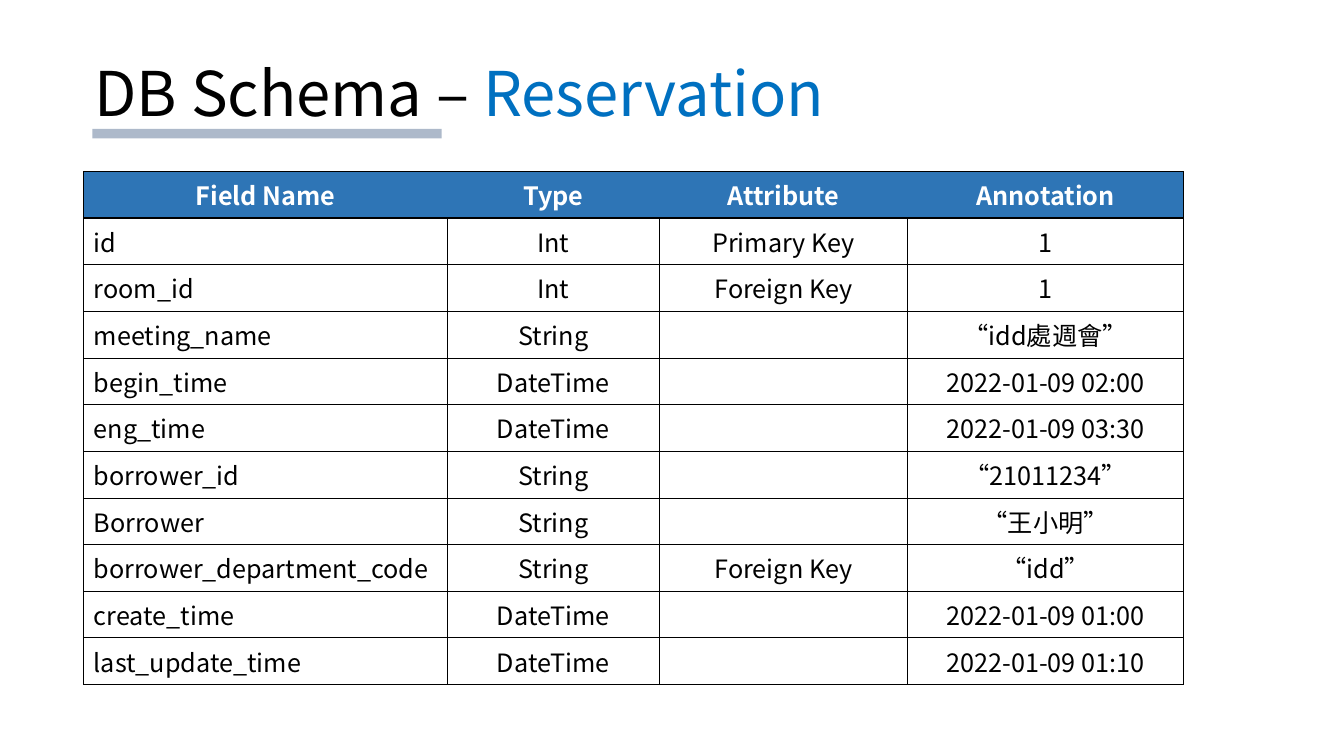
import pptx
import pptx.dml.color
import pptx.enum.shapes
import pptx.enum.text
import pptx.oxml
import pptx.oxml.ns
import pptx.util
from lxml import etree
from pptx.util import Cm

FONT = "Noto Sans CJK SC"
COLORS = {
    "black": "000000",
    "white": "FFFFFF",
    "accent": "0070C0",
    "header": "2E75B6",
    "underline": "ADB9CA",
}
COLUMN_WIDTHS = (9.17, 5.33, 6.27, 6.94)
TABLE_HEIGHT = 12.93
HEADER = ("Field Name", "Type", "Attribute", "Annotation")
FIELDS = (
    ("id", "Int", "Primary Key", "1"),
    ("room_id", "Int", "Foreign Key", "1"),
    ("meeting_name", "String", "", "“idd處週會”"),
    ("begin_time", "DateTime", "", "2022-01-09 02:00"),
    ("eng_time", "DateTime", "", "2022-01-09 03:30"),
    ("borrower_id", "String", "", "“21011234”"),
    ("Borrower", "String", "", "“王小明”"),
    ("borrower_department_code", "String", "Foreign Key", "“idd”"),
    ("create_time", "DateTime", "", "2022-01-09 01:00"),
    ("last_update_time", "DateTime", "", "2022-01-09 01:10"),
)


def rgb(name):
    return pptx.dml.color.RGBColor.from_string(COLORS[name])


def style_paragraph(paragraph, size, color, bold=False):
    font = paragraph.font
    font.name = FONT
    font.size = pptx.util.Pt(size)
    font.bold = bold
    font.color.rgb = rgb(color)
    # East Asian typeface for the Chinese characters
    latin = paragraph._p.find(".//" + pptx.oxml.ns.qn("a:latin"))
    east_asian = etree.Element(pptx.oxml.ns.qn("a:ea"), typeface=FONT)
    latin.addnext(east_asian)


def add_title(slide, text, highlight):
    box = slide.shapes.add_textbox(Cm(2.13), Cm(1.02), Cm(29.21), Cm(2.84))
    frame = box.text_frame
    frame.word_wrap = True
    frame.vertical_anchor = pptx.enum.text.MSO_ANCHOR.MIDDLE
    paragraph = frame.paragraphs[0]
    paragraph.line_spacing = 0.9
    style_paragraph(paragraph, 44, "black")
    paragraph.add_run().text = text
    highlighted = paragraph.add_run()
    highlighted.text = highlight
    highlighted.font.color.rgb = rgb("accent")


def add_underline(slide):
    shape = slide.shapes.add_shape(
        pptx.enum.shapes.MSO_SHAPE.RECTANGLE, Cm(2.33), Cm(3.25), Cm(8.8), Cm(0.24))
    shape.shadow.inherit = False
    shape.fill.solid()
    shape.fill.fore_color.rgb = rgb("underline")
    shape.line.fill.background()


def set_borders(cell, widths):
    """Set left, right, top and bottom borders; a width of 0 means no line."""
    properties = cell._tc.get_or_add_tcPr()
    for position, (side, width) in enumerate(zip("LRTB", widths)):
        line = etree.Element(
            pptx.oxml.ns.qn(f"a:ln{side}"), w=str(int(pptx.util.Pt(width))))
        if width:
            fill = etree.SubElement(line, pptx.oxml.ns.qn("a:solidFill"))
            etree.SubElement(fill, pptx.oxml.ns.qn("a:srgbClr"), val=COLORS["black"])
        else:
            etree.SubElement(line, pptx.oxml.ns.qn("a:noFill"))
        properties.insert(position, line)


def fill_cell(cell, text, row, column):
    is_header = row == 0
    paragraph = cell.text_frame.paragraphs[0]
    paragraph.text = text
    if is_header or column > 0:
        paragraph.alignment = pptx.enum.text.PP_ALIGN.CENTER
    style_paragraph(paragraph, 18, "white" if is_header else "black", is_header)
    if is_header:
        cell.fill.solid()
        cell.fill.fore_color.rgb = rgb("header")
        last = len(COLUMN_WIDTHS) - 1
        set_borders(cell, (0.5 * (column == 0), 0.5 * (column == last), 0.5, 1))
    else:
        cell.fill.background()
        top = 1 if row == 1 else 0.5
        bottom = 1 if row == len(FIELDS) else 0.5
        set_borders(cell, (1, 1, top, bottom))


def add_schema_table(slide):
    rows = (HEADER, *FIELDS)
    table = slide.shapes.add_table(
        len(rows), len(HEADER), Cm(2.11), Cm(4.32),
        Cm(sum(COLUMN_WIDTHS)), Cm(TABLE_HEIGHT)).table
    table.first_row = False
    table.horz_banding = False
    for column, width in zip(table.columns, COLUMN_WIDTHS):
        column.width = Cm(width)
    for row, texts in enumerate(rows):
        table.rows[row].height = Cm(TABLE_HEIGHT / len(rows))
        for column, text in enumerate(texts):
            fill_cell(table.cell(row, column), text, row, column)


def main():
    presentation = pptx.Presentation()
    presentation.slide_width = Cm(33.87)
    presentation.slide_height = Cm(19.05)
    slide = presentation.slides.add_slide(presentation.slide_layouts[6])

    # Title with its underline
    add_title(slide, "DB Schema – ", "Reservation")
    add_underline(slide)

    # Fields of the reservation table
    add_schema_table(slide)

    presentation.save("out.pptx")


if __name__ == "__main__":
    main()
